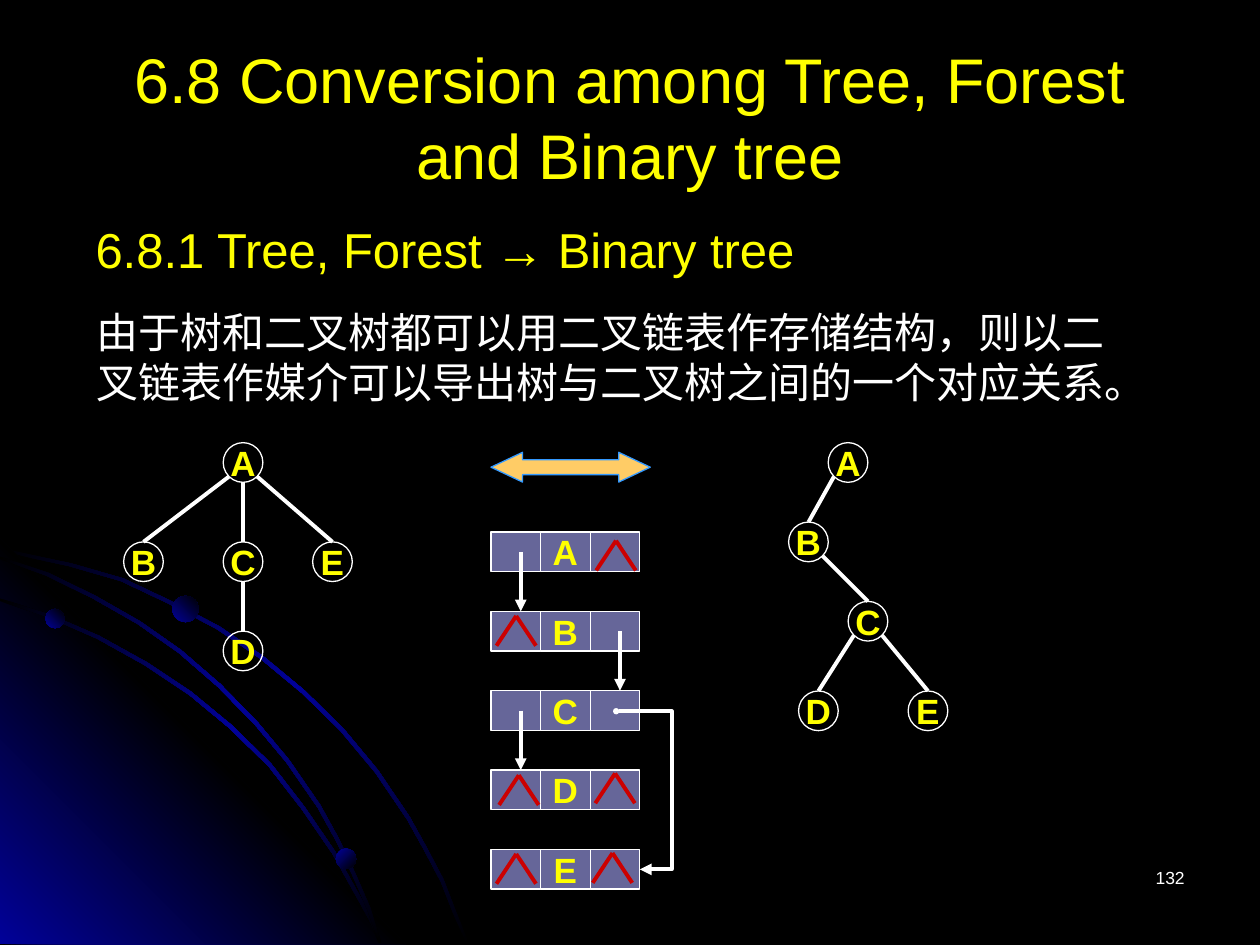
import copy
from dataclasses import dataclass

import pptx
import pptx.dml.color
import pptx.enum.dml
import pptx.enum.shapes
import pptx.enum.text
import pptx.oxml
import pptx.oxml.ns
import pptx.util
from lxml import etree

Pt = pptx.util.Pt
qn = pptx.oxml.ns.qn
SHAPE = pptx.enum.shapes.MSO_SHAPE
CONNECTOR = pptx.enum.shapes.MSO_CONNECTOR
ALIGN = pptx.enum.text.PP_ALIGN
ANCHOR = pptx.enum.text.MSO_ANCHOR


@dataclass(frozen=True)
class Theme:
    background: str = "000000"
    white: str = "FFFFFF"
    yellow: str = "FFFF00"
    blue: str = "010199"
    cell: str = "666699"
    caret: str = "CC0000"
    arrow: str = "FFCC66"
    arrow_line: str = "3399FF"
    sans: str = "Arial"
    serif: str = "Times New Roman"
    title: float = 36
    heading: float = 28
    body: float = 24
    label: float = 20
    number: float = 10
    thin: float = 0.75
    thick: float = 2.25


def rgb(value):
    return pptx.dml.color.RGBColor.from_string(value)


def put_text(shape, text, *, size, color, font, bold=False, align=ALIGN.LEFT,
             anchor=ANCHOR.TOP, wrap=True):
    tf = shape.text_frame
    tf.word_wrap = wrap
    tf.vertical_anchor = anchor
    for i, line in enumerate(text.split("\n")):
        p = tf.add_paragraph() if i else tf.paragraphs[0]
        p.alignment = align
        r = p.add_run()
        r.text = line
        r.font.size = Pt(size)
        r.font.name = font
        r.font.bold = bold
        r.font.color.rgb = rgb(color)


class Deck:
    NODE = 22.68

    def __init__(self, theme):
        self.theme = theme
        self.prs = pptx.Presentation()
        self.prs.slide_width, self.prs.slide_height = Pt(720), Pt(540)
        self.s = self.prs.slides.add_slide(self.prs.slide_layouts[6])
        fill = self.s.background.fill
        fill.solid()
        fill.fore_color.rgb = rgb(theme.background)

    def text(self, x, y, w, h, text, **style):
        put_text(self.s.shapes.add_textbox(Pt(x), Pt(y), Pt(w), Pt(h)), text, **style)

    def shape(self, kind, x, y, w, h, fill=None, line=None, label=""):
        sp = self.s.shapes.add_shape(kind, Pt(x), Pt(y), Pt(w), Pt(h))
        sp.shadow.inherit = False
        if fill:
            sp.fill.solid()
            sp.fill.fore_color.rgb = rgb(fill)
        else:
            sp.fill.background()
        if line:
            sp.line.color.rgb = rgb(line)
            sp.line.width = Pt(self.theme.thin)
        else:
            sp.line.fill.background()
        if label:
            put_text(sp, label, size=self.theme.label, color=self.theme.yellow,
                     font=self.theme.sans, bold=True, align=ALIGN.CENTER,
                     anchor=ANCHOR.MIDDLE, wrap=False)
        return sp

    def gradient(self, sp, colors, angle):
        """Fill with evenly spaced colours; angle is clockwise in degrees."""
        sp.fill.gradient()
        sp.fill.gradient_angle = 360 - angle
        stops = sp.fill.gradient_stops
        stop_list = next(sp.element.spPr.iter(qn("a:gsLst")))
        if len(colors) > len(stops):
            stop_list.append(copy.deepcopy(stop_list[-1]))
        for i, (stop, color) in enumerate(zip(sp.fill.gradient_stops, colors)):
            stop.color.rgb = rgb(color)
            stop.position = i / (len(colors) - 1)

    def outline(self, points, colors, angle):
        builder = self.s.shapes.build_freeform(Pt(points[0][0]), Pt(points[0][1]))
        builder.add_line_segments([(Pt(x), Pt(y)) for x, y in points[1:]], close=True)
        sp = builder.convert_to_shape()
        sp.shadow.inherit = False
        sp.line.fill.background()
        self.gradient(sp, colors, angle)

    def ribbon(self, edge):
        """Thin band below an edge, kept inside the slide."""
        t = self.theme
        inner = [(max(x - 1.5, 0), min(y + 1.5, 539)) for x, y in reversed(edge)]
        self.outline(edge + inner, (t.background, t.blue, t.background), 45)

    def orb(self, x, y, size, angle):
        sp = self.shape(SHAPE.OVAL, x, y, size, size)
        self.gradient(sp, (self.theme.blue, self.theme.background), angle)

    def line(self, start, end, color=None, arrow=False, bend=None):
        kind = CONNECTOR.ELBOW if bend else CONNECTOR.STRAIGHT
        c = self.s.shapes.add_connector(kind, *(Pt(v) for v in (*start, *end)))
        c.line.color.rgb = rgb(color or self.theme.white)
        c.line.width = Pt(self.theme.thick)
        spPr = c._element.spPr
        if arrow:
            etree.SubElement(c.line._get_or_add_ln(), qn("a:tailEnd"), type="triangle")
        if bend:
            guides = spPr.find(qn("a:prstGeom")).get_or_add_avLst()
            etree.SubElement(guides, qn("a:gd"), name="adj1", fmla=f"val {bend}")
        etree.SubElement(spPr, qn("a:effectLst"))
        return c

    def tree(self, centers, edges):
        r = self.NODE / 2
        nodes = {name: self.shape(SHAPE.OVAL, x - r, y - r, 2 * r, 2 * r,
                                  line=self.theme.white, label=name)
                 for name, (x, y) in centers.items()}
        for parent, child in edges:
            (px, py), (cx, cy) = centers[parent], centers[child]
            side = (cx > px) - (cx < px)
            reach = 0.71 * r if side else r
            c = self.line((px + side * reach, py + reach), (cx, cy - r))
            c.end_connect(nodes[child], 0)

    def caret(self, x, y):
        for foot in (x - 11.3, x + 11.3):
            self.line((foot, y + 17), (x, y), self.theme.caret)


def main():
    t = Theme()
    deck = Deck(t)

    deck.ribbon([(0, 313), (20, 317.5), (41, 322), (70.5, 330.5), (98, 343.5),
                 (125.5, 358), (150.5, 375), (174, 394.5), (196, 416), (216, 440),
                 (234, 466.5), (244, 484.5), (253.5, 502.5), (260.5, 520.5), (268, 539)])
    deck.outline([(0, 307.5), (232, 539.5), (0, 539.5)],
                 (t.blue, t.background, t.blue), 315)
    deck.ribbon([(0, 342), (29.5, 351.5), (57, 363.5), (84, 378.5), (109.5, 395.5),
                 (132.5, 414.5), (155, 436.5), (174, 461), (191.5, 486.5),
                 (206, 512.5), (213, 525.5), (218, 539)])
    deck.ribbon([(0, 318), (28, 327.5), (54.5, 340.5), (80, 355), (103.5, 371.5),
                 (126, 391), (147, 412.5), (165, 434), (183, 460), (193.5, 479),
                 (203, 499), (211.5, 518.5), (218, 539)])
    for orb in ((26, 348, 11, 315), (192, 485, 11.5, 45), (98.5, 340.5, 15, 315)):
        deck.orb(*orb)

    deck.text(48.2, 171.4, 614, 65,
              "由于树和二叉树都可以用二叉链表作存储结构，则以二\n"
              "叉链表作媒介可以导出树与二叉树之间的一个对应关系。",
              size=t.body, color=t.white, font=t.serif, wrap=False)
    deck.text(36, 21.6, 648, 90, "6.8 Conversion among Tree, Forest and Binary tree",
              size=t.title, color=t.yellow, font=t.sans,
              align=ALIGN.CENTER, anchor=ANCHOR.MIDDLE)
    deck.text(47.5, 121.7, 431, 41, "6.8.1 Tree, Forest → Binary tree",
              size=t.heading, color=t.yellow, font=t.sans)

    deck.tree({"A": (138.9, 264.3), "B": (82, 321), "C": (138.9, 321),
               "E": (190, 321), "D": (138.9, 372)}, ("AB", "AC", "AE", "CD"))
    deck.tree({"A": (484.6, 264.3), "B": (462, 309.7), "C": (496, 355),
               "E": (530.3, 406.2), "D": (467.7, 406.2)}, ("AB", "BC", "CE", "CD"))

    arrow = deck.shape(SHAPE.LEFT_RIGHT_ARROW, 280.6, 258.5, 91, 17, t.arrow, t.arrow_line)
    arrow.adjustments[0], arrow.adjustments[1] = 0.5, 1.06

    left, top, width, height, pitch = 280.6, 304, 28.35, 22.68, 45.36
    for row, name in enumerate("ABCDE"):
        for col, label in enumerate(("", name, "")):
            deck.shape(SHAPE.RECTANGLE, left + col * width, top + row * pitch,
                       width, height, t.cell, t.white, label)
    for row, x in ((0, 297.6), (1, 354.3), (2, 297.6)):
        y = top + row * pitch
        deck.line((x, y + height / 2), (x, y + pitch), arrow=True)
    deck.line((353.5, 406.5), (left + 3 * width, top + 4 * pitch + height / 2),
              arrow=True, bend=248800)
    for apex in ((352, 309), (295, 352), (351.5, 442), (296.5, 443),
                 (350, 487.5), (295, 488)):
        deck.caret(*apex)
    deck.shape(SHAPE.OVAL, 350.7, 405, 2.8, 2.8, t.white, t.white)

    deck.text(516, 492, 168, 36, "132", size=t.number, color=t.white, font=t.sans,
              align=ALIGN.RIGHT)
    deck.prs.save("out.pptx")


if __name__ == "__main__":
    main()
